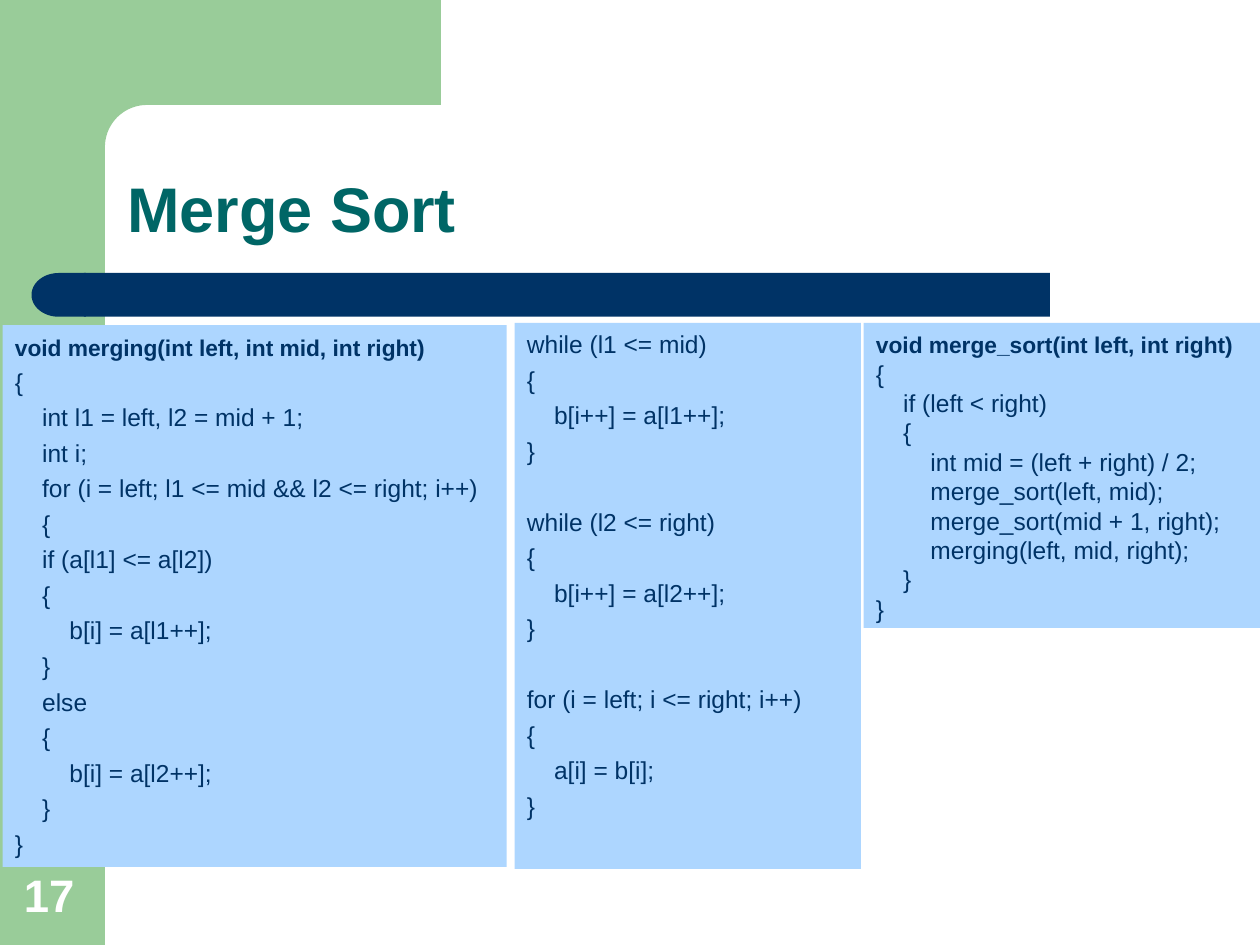
from dataclasses import dataclass
from math import cos, radians, sin

from pptx import Presentation
from pptx import util as u
from pptx.dml.color import RGBColor
from pptx.enum import shapes, text


@dataclass(frozen=True)
class Theme:
    font: str = "Arial"
    green: str = "99CC99"
    navy: str = "003366"
    teal: str = "006666"
    panel: str = "ADD6FF"
    white: str = "FFFFFF"
    title_size: float = 36
    number_size: float = 26
    heading_size: float = 13
    code_size: float = 14
    line_height: float = 16.8


@dataclass(frozen=True)
class Box:
    left: float
    top: float
    width: float
    height: float

    def lengths(self) -> list:
        return [u.Pt(value) for value in (self.left, self.top, self.width, self.height)]


@dataclass(frozen=True)
class CodePanel:
    box: Box
    code: str
    gap: float = 0
    has_heading: bool = False


THEME = Theme()
SHAPE = shapes.MSO_SHAPE

PANELS = [
    CodePanel(Box(1.5, 185.8, 288, 309.6), """void merging(int left, int mid, int right)
{
    int l1 = left, l2 = mid + 1;
    int i;
    for (i = left; l1 <= mid && l2 <= right; i++)
    {
    if (a[l1] <= a[l2])
    {
        b[i] = a[l1++];
    }
    else
    {
        b[i] = a[l2++];
    }
}""", gap=3.5, has_heading=True),
    CodePanel(Box(294, 184.5, 198, 312), """while (l1 <= mid)
{
    b[i++] = a[l1++];
}

while (l2 <= right)
{
    b[i++] = a[l2++];
}

for (i = left; i <= right; i++)
{
    a[i] = b[i];
}""", gap=3.5),
    CodePanel(Box(493.5, 184.5, 226.5, 174.3), """void merge_sort(int left, int right)
{
    if (left < right)
    {
        int mid = (left + right) / 2;
        merge_sort(left, mid);
        merge_sort(mid + 1, right);
        merging(left, mid, right);
    }
}""", has_heading=True),
]


def set_font(paragraph, size: float, color: str, bold: bool = False) -> None:
    paragraph.alignment = text.PP_ALIGN.LEFT
    font = paragraph.font
    font.name, font.size, font.bold = THEME.font, u.Pt(size), bold
    font.color.rgb = RGBColor.from_string(color)


def paint(shape, color: str) -> None:
    shape.shadow.inherit = False
    shape.fill.solid()
    shape.fill.fore_color.rgb = RGBColor.from_string(color)
    shape.line.fill.background()


def add_block(slide, kind: SHAPE, box: Box, color: str):
    shape = slide.shapes.add_shape(kind, *box.lengths())
    paint(shape, color)
    return shape


def add_corner(slide) -> None:
    """Green band along the top with a rounded inner corner."""
    center, radius = 84, 24
    arc = [(center + radius * cos(radians(angle)), center + radius * sin(radians(angle)))
           for angle in range(270, 179, -5)]
    outline = [(252, 60), *arc, (60, 92), (36, 92), (36, 0)]
    builder = slide.shapes.build_freeform(u.Pt(252), 0, scale=1.0)
    builder.add_line_segments([(u.Pt(x), u.Pt(y)) for x, y in outline], close=True)
    paint(builder.convert_to_shape(), THEME.green)


def fill_label(shape, words: str, size: float, color: str) -> None:
    frame = shape.text_frame
    frame.text = words
    frame.word_wrap = True
    frame.auto_size = text.MSO_AUTO_SIZE.NONE
    frame.vertical_anchor = text.MSO_ANCHOR.BOTTOM
    set_font(frame.paragraphs[0], size, color, bold=True)


def add_code_panel(slide, panel: CodePanel) -> None:
    frame = add_block(slide, SHAPE.RECTANGLE, panel.box, THEME.panel).text_frame
    frame.word_wrap = True
    frame.vertical_anchor = text.MSO_ANCHOR.TOP
    paragraph = frame.paragraphs[0]
    space = 0
    for index, line in enumerate(panel.code.splitlines()):
        if not line:  # an empty line becomes space above the next one
            space += THEME.line_height + panel.gap
            continue
        if index:
            paragraph = frame.add_paragraph()
        paragraph.text = line
        paragraph.line_spacing = u.Pt(THEME.line_height)
        paragraph.space_before = u.Pt(space)
        is_heading = panel.has_heading and index == 0
        size = THEME.heading_size if is_heading else THEME.code_size
        set_font(paragraph, size, THEME.navy, is_heading)
        space = panel.gap


def main() -> None:
    presentation = Presentation()
    presentation.slide_width, presentation.slide_height = u.Pt(720), u.Pt(540)
    slide = presentation.slides.add_slide(presentation.slide_layouts[5])

    # Title
    title = slide.shapes.title
    title.left, title.top, title.width, title.height = Box(65.5, 65.5, 612.7, 78.5).lengths()
    fill_label(title, "Merge Sort", THEME.title_size, THEME.teal)
    title.text_frame.paragraphs[0].line_spacing = 0.9

    # Green frame and navy rule with a rounded left end
    add_block(slide, SHAPE.RECTANGLE, Box(0, 0, 60, 540), THEME.green)
    add_corner(slide)
    add_block(slide, SHAPE.RECTANGLE, Box(48, 156, 552, 25), THEME.navy)
    cap = add_block(slide, SHAPE.FLOWCHART_DELAY, Box(18, 156, 31, 25), THEME.navy)
    cap.rotation = 180

    # Code panels
    for panel in PANELS:
        add_code_panel(slide, panel)

    # Slide number
    number = slide.shapes.add_textbox(*Box(6.5, 491.8, 46, 38.2).lengths())
    fill_label(number, "17", THEME.number_size, THEME.white)

    presentation.save("out.pptx")


if __name__ == "__main__":
    main()
